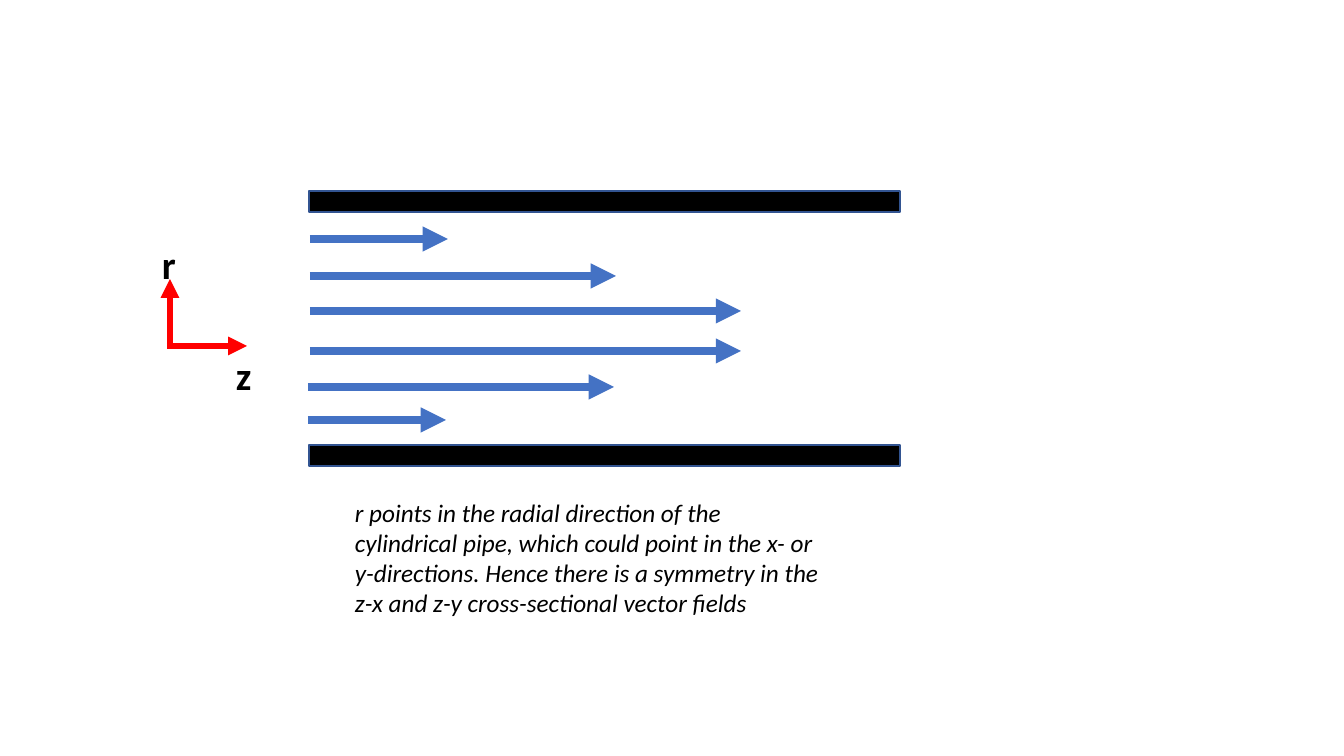
"""Build a slide showing the velocity profile of flow in a cylindrical pipe."""
from dataclasses import dataclass

from lxml import etree
from pptx import Presentation
from pptx.dml.color import RGBColor
from pptx.enum.shapes import MSO_CONNECTOR, MSO_SHAPE
from pptx.oxml.ns import qn
from pptx.util import Emu, Pt

RECTANGLE = MSO_SHAPE.RECTANGLE
STRAIGHT = MSO_CONNECTOR.STRAIGHT
EMU_PER_PIXEL = 914400 / 100.8
BLANK_LAYOUT = 6


@dataclass(frozen=True)
class Theme:
    """Hold the colours, font, type sizes and line widths."""
    ink: str = "000000"
    wall_edge: str = "325491"
    flow: str = "4472C4"
    axis: str = "FF0000"
    font: str = "Calibri"
    label_size: float = 28
    note_size: float = 18
    edge_width: float = 1
    flow_width: float = 6
    axis_width: float = 4.5


THEME = Theme()


def px(length):
    """Turn whole pixels into EMU."""
    return Emu(round(length * EMU_PER_PIXEL))


def set_line(line, color, width):
    """Give a line its colour and its width in points."""
    line.color.rgb = RGBColor.from_string(color)
    line.width = Pt(width)


def add_wall(slide, left, top, width, height):
    """Draw one solid pipe wall."""
    wall = slide.shapes.add_shape(RECTANGLE, px(left), px(top), px(width), px(height))
    wall.shadow.inherit = False
    wall.fill.solid()
    wall.fill.fore_color.rgb = RGBColor.from_string(THEME.ink)
    set_line(wall.line, THEME.wall_edge, THEME.edge_width)


def add_arrow(slide, start, end, color, width):
    """Draw a straight arrow with a triangular head at its end."""
    arrow = slide.shapes.add_connector(STRAIGHT, *map(px, start + end))
    set_line(arrow.line, color, width)
    etree.SubElement(arrow.line._get_or_add_ln(), qn("a:tailEnd"), type="triangle")
    etree.SubElement(arrow._element.spPr, qn("a:effectLst"))


def add_text(slide, text, box, size, bold=False, italic=False):
    """Place wrapped text in a box of left, top, width and height."""
    frame = slide.shapes.add_textbox(*map(px, box)).text_frame
    frame.word_wrap = True
    run = frame.paragraphs[0].add_run()
    run.text = text
    run.font.name = THEME.font
    run.font.size = Pt(size)
    run.font.bold = bold
    run.font.italic = italic
    run.font.color.rgb = RGBColor.from_string(THEME.ink)


def main():
    """Build the slide and save it."""
    deck = Presentation()
    deck.slide_width, deck.slide_height = px(1344), px(756)
    slide = deck.slides.add_slide(deck.slide_layouts[BLANK_LAYOUT])

    for wall_top in (191, 445):
        add_wall(slide, 309, wall_top, 591, 21)

    streamlines = [
        (310, 239, 138), (308, 420, 138),
        (310, 276, 306), (308, 387, 306),
        (310, 311, 431), (310, 351, 431),
    ]
    for inlet, height, speed in streamlines:
        add_arrow(slide, (inlet, height), (inlet + speed, height),
                  THEME.flow, THEME.flow_width)

    for start, tip in (((167, 346), (247, 346)), ((170, 349), (170, 279))):
        add_arrow(slide, start, tip, THEME.axis, THEME.axis_width)

    for axis_name, left, top in (("r", 152, 235), ("z", 226, 346)):
        add_text(slide, axis_name, (left, top, 80, 57), THEME.label_size, bold=True)

    add_text(
        slide,
        "r points in the radial direction of the cylindrical pipe, which could "
        "point in the x- or y-directions. Hence there is a symmetry in the "
        "z-x and z-y cross-sectional vector fields",
        (345, 492, 493, 132), THEME.note_size, italic=True,
    )
    deck.save("out.pptx")


if __name__ == "__main__":
    main()
